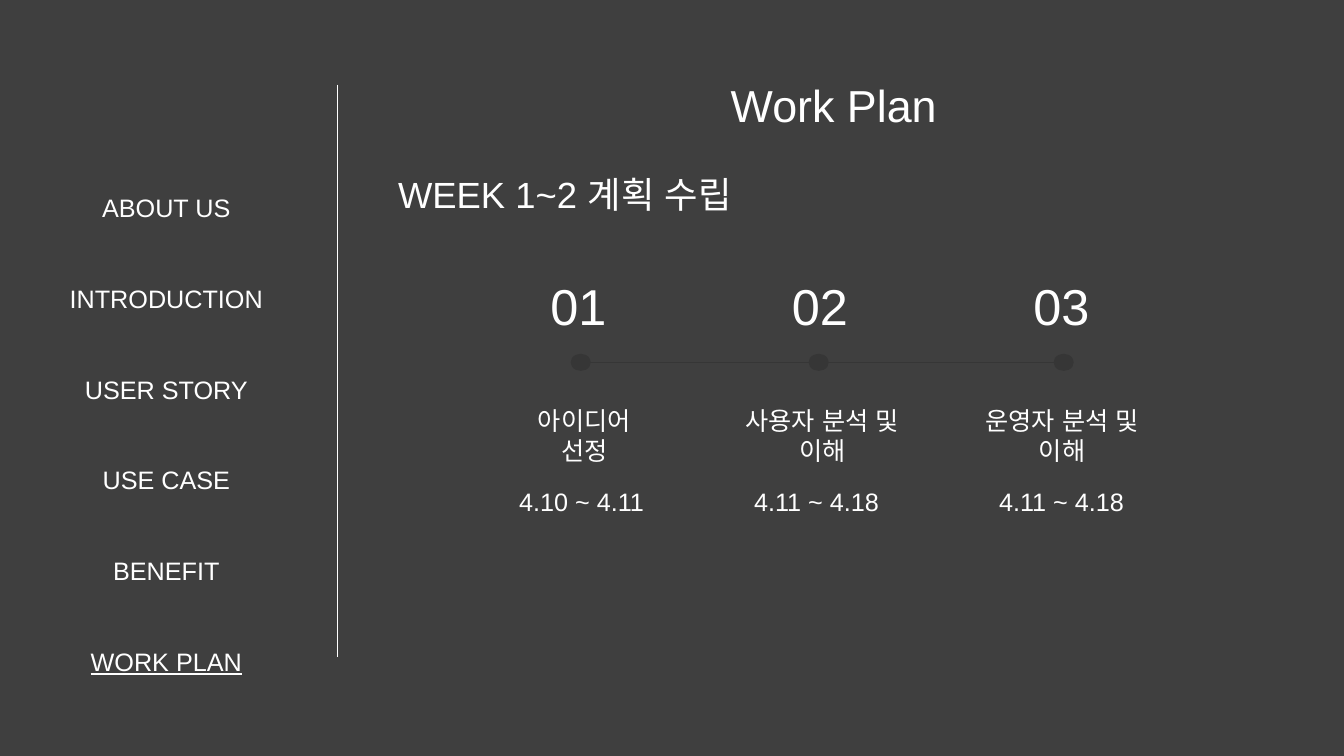
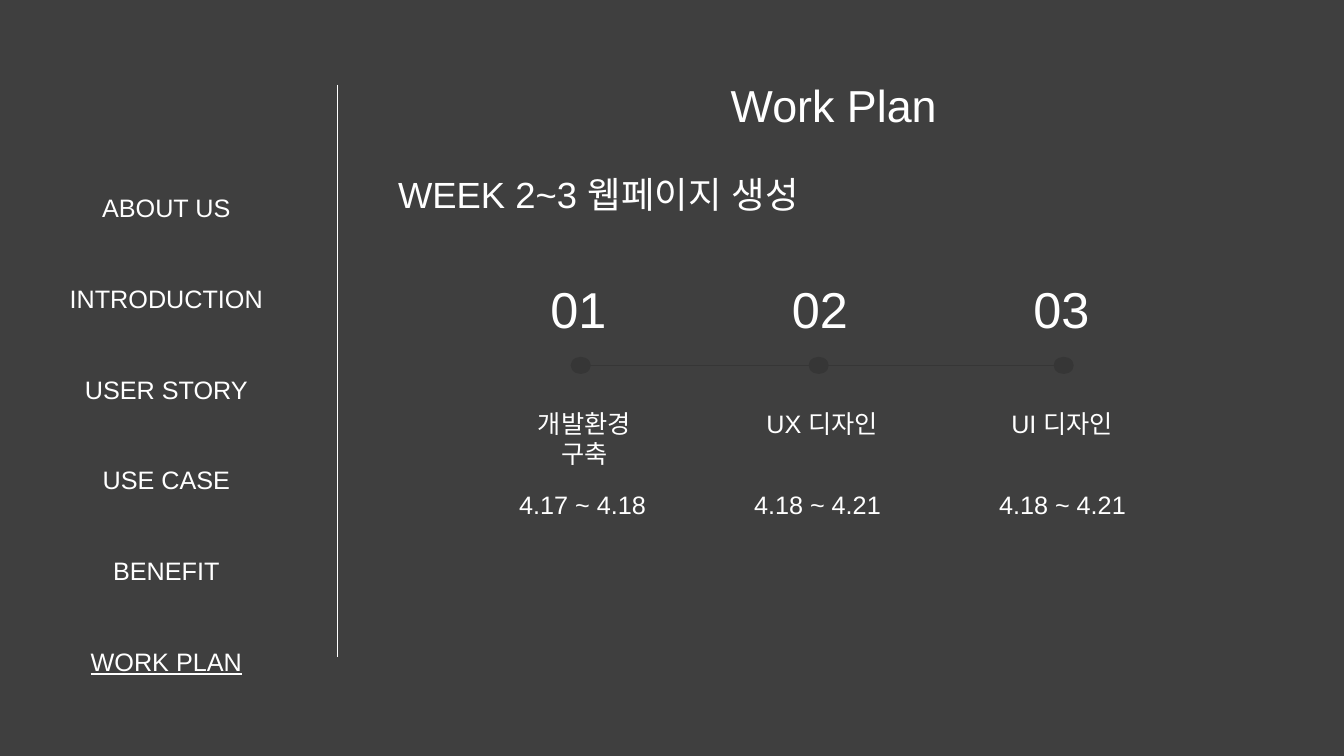
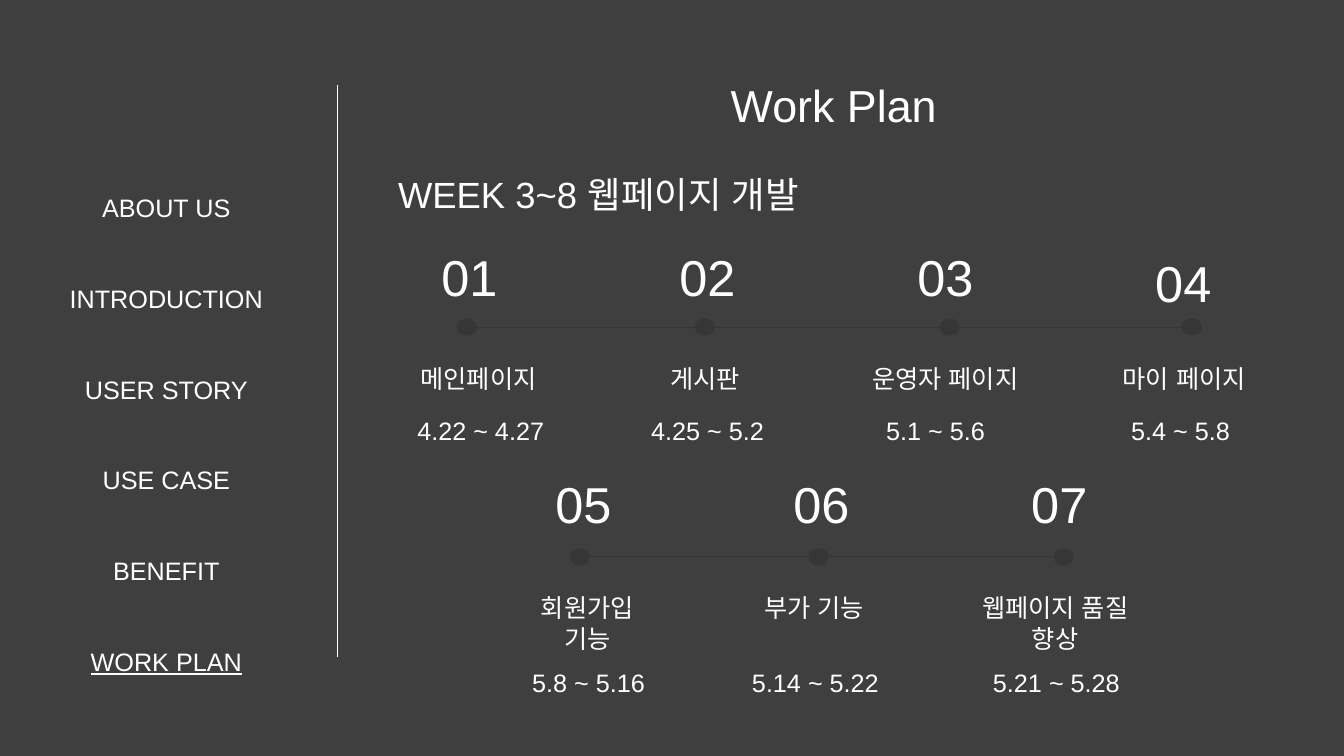
from dataclasses import dataclass

import pptx
import pptx.dml.color
import pptx.enum.lang
import pptx.enum.shapes
import pptx.enum.text
import pptx.oxml.ns
import pptx.util
from lxml import etree

Inches = pptx.util.Inches
Pt = pptx.util.Pt
RGB = pptx.dml.color.RGBColor.from_string
ALIGN = pptx.enum.text.PP_ALIGN


@dataclass(frozen=True)
class Theme:
    font: str = "Arial"
    background: str = "3F3F3F"
    text: str = "FFFFFF"
    timeline: str = "363636"
    title_size: int = 32
    heading_size: int = 26
    number_size: int = 36
    body_size: int = 18
    line_width: float = 0.75


@dataclass(frozen=True)
class Row:
    """Geometry of one timeline; lists hold one value per step."""
    number_left: float
    number_pitch: float
    dot_lefts: tuple
    label_lefts: tuple
    first_label_width: float
    date_lefts: tuple
    number_rise: float
    label_drop: float
    date_drop: float
    last_number_drop: float = 0


THEME = Theme()
MENU = ["ABOUT US", "INTRODUCTION", "USER STORY", "USE CASE", "BENEFIT", "WORK PLAN"]
DOT_WIDTH, DOT_HEIGHT = 0.2, 0.17

SINGLE_ROW = Row(5.36, 2.395, (5.66, 8.02, 10.45), (5.16, 7.24, 9.62), 1.27,
                 (5.05, 7.38, 9.81), 0.83, 0.46, 1.27)
UPPER_ROW = Row(4.28, 2.36, (4.53, 6.89, 9.32, 11.72), (4, 6.08, 8.46, 10.83), 1.49,
                (4.04, 6.36, 8.69, 11.12), 0.77, 0.4, 0.91, 0.06)
LOWER_ROW = Row(5.41, 2.36, (5.65, 8.02, 10.45), (5.08, 7.16, 9.55), 1.49,
                (5.18, 7.36, 9.75), 0.8, 0.39, 1.13)

# Each timeline: row geometry, top of the dots, number of the first step, steps.
PLANS = [
    ("WEEK 1~2 계획 수립", [
        (SINGLE_ROW, 3.51, 1, [("아이디어 선정", "4.10 ~ 4.11"),
                               ("사용자 분석 및 이해", "4.11 ~ 4.18"),
                               ("운영자 분석 및 이해", "4.11 ~ 4.18")]),
    ]),
    ("WEEK 2~3 웹페이지 생성", [
        (SINGLE_ROW, 3.54, 1, [("개발환경 구축", "4.17 ~ 4.18"),
                               ("UX 디자인", "4.18 ~ 4.21"),
                               ("UI 디자인", "4.18 ~ 4.21")]),
    ]),
    ("WEEK 3~8 웹페이지 개발", [
        (UPPER_ROW, 3.16, 1, [("메인페이지", "4.22 ~ 4.27"),
                              ("게시판", "4.25 ~ 5.2"),
                              ("운영자 페이지", "5.1 ~ 5.6"),
                              ("마이 페이지", "5.4 ~ 5.8")]),
        (LOWER_ROW, 5.44, 5, [("회원가입 기능", "5.8 ~ 5.16"),
                              ("부가 기능", "5.14 ~ 5.22"),
                              ("웹페이지 품질 향상", "5.21 ~ 5.28")]),
    ]),
]


def add_text(slide, box, lines, size, align=ALIGN.LEFT, spacing=None, underlined=None):
    tf = slide.shapes.add_textbox(*map(Inches, box)).text_frame
    tf.word_wrap = True
    for i, line in enumerate(lines):
        p = tf.paragraphs[0] if i == 0 else tf.add_paragraph()
        p.alignment = align
        if spacing:
            p.line_spacing = spacing
        r = p.add_run()
        r.text = line
        formats = {"name": THEME.font, "size": Pt(size),
                   "language_id": pptx.enum.lang.MSO_LANGUAGE_ID.KOREAN}
        if line == underlined:
            formats["underline"] = True
        for name, value in formats.items():
            setattr(r.font, name, value)
        r.font.color.rgb = RGB(THEME.text)


def add_line(slide, start, end, color):
    line = slide.shapes.add_connector(
        pptx.enum.shapes.MSO_CONNECTOR.STRAIGHT, *map(Inches, start + end))
    line.line.color.rgb = RGB(color)
    line.line.width = Pt(THEME.line_width)
    etree.SubElement(line._element.spPr, pptx.oxml.ns.qn("a:effectLst"))


def add_dot(slide, left, top):
    sp = slide.shapes.add_shape(
        pptx.enum.shapes.MSO_SHAPE.OVAL,
        *map(Inches, (left, top, DOT_WIDTH, DOT_HEIGHT)))
    sp.shadow.inherit = False
    sp.fill.solid()
    sp.fill.fore_color.rgb = RGB(THEME.timeline)
    sp.line.fill.background()


def add_timeline(slide, row, top, first, steps):
    middle = top + DOT_HEIGHT / 2
    centers = [left + DOT_WIDTH / 2 for left in row.dot_lefts]
    for start, end in zip(centers, centers[1:]):
        add_line(slide, (start, middle), (end, middle), THEME.timeline)
    for i, (label, date) in enumerate(steps):
        number_top = top - row.number_rise
        if i == len(steps) - 1:
            number_top += row.last_number_drop
        add_text(slide, (row.number_left + i * row.number_pitch, number_top, 0.77, 0.71),
                 [f"{first + i:02}"], THEME.number_size)
        add_dot(slide, row.dot_lefts[i], top)
        label_width = 1.83 if i else row.first_label_width
        add_text(slide, (row.label_lefts[i], top + row.label_drop, label_width, 0.4),
                 [label], THEME.body_size, ALIGN.CENTER)
        date_width = 1.69 if i else 1.49
        add_text(slide, (row.date_lefts[i], top + row.date_drop, date_width, 0.4),
                 [date], THEME.body_size)


def add_frame(slide, heading):
    """Add the side menu, divider, title and week heading."""
    add_line(slide, (3.35, 0.84), (3.35, 6.52), THEME.text)
    add_text(slide, (3.3, 0.72, 9.94, 0.64), ["Work Plan"], THEME.title_size, ALIGN.CENTER)
    add_text(slide, (0, 1.26, 3.3, 4.48), MENU, THEME.body_size, ALIGN.CENTER,
             spacing=3.0, underlined="WORK PLAN")
    add_text(slide, (3.85, 1.66, 4.88, 0.44), [heading], THEME.heading_size)


def main():
    prs = pptx.Presentation()
    prs.slide_width, prs.slide_height = Inches(13.33), Inches(7.5)
    fill = prs.slide_master.background.fill
    fill.solid()
    fill.fore_color.rgb = RGB(THEME.background)
    for heading, timelines in PLANS:
        slide = prs.slides.add_slide(prs.slide_layouts[6])
        add_frame(slide, heading)
        for timeline in timelines:
            add_timeline(slide, *timeline)
    prs.save("out.pptx")


if __name__ == "__main__":
    main()
